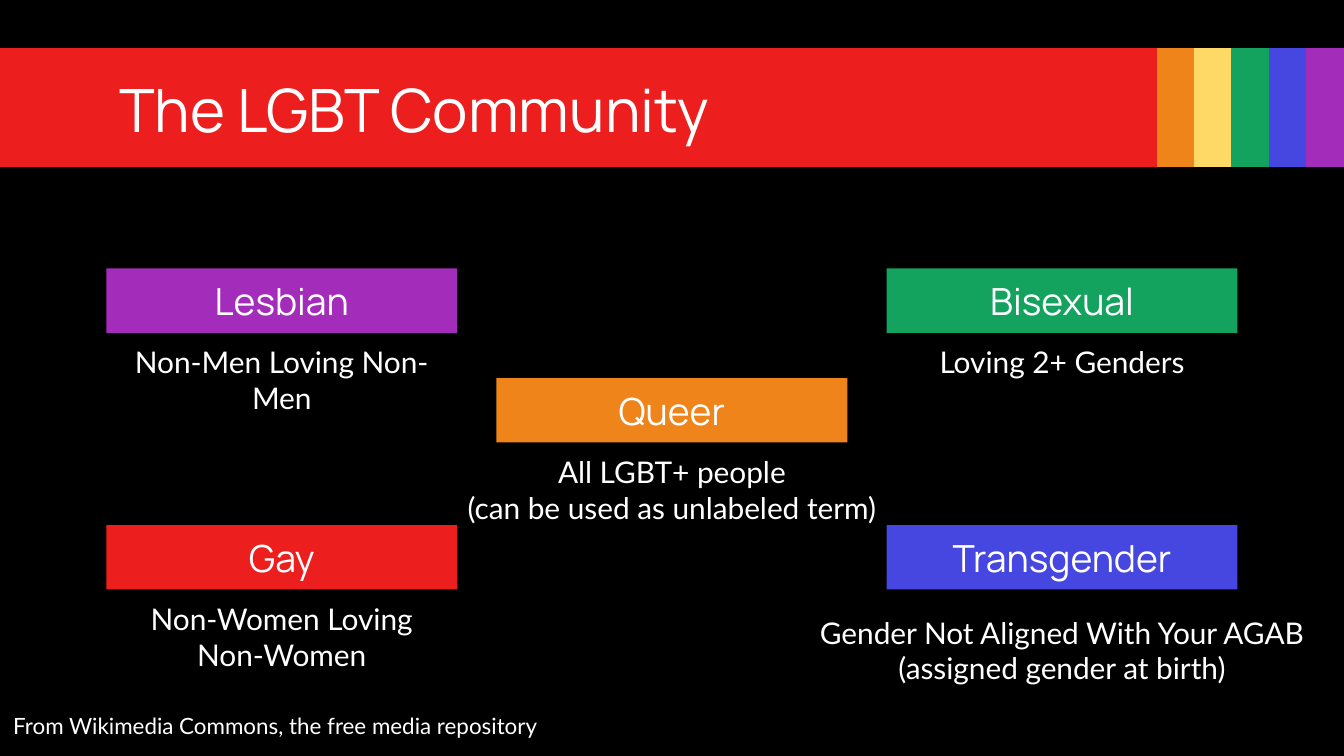
from pptx import Presentation
from pptx import util as u
from pptx.dml.color import RGBColor
from pptx.enum import shapes, text

Pt = u.Pt
BLACK = RGBColor(0x00, 0x00, 0x00)
WHITE = RGBColor(0xFF, 0xFF, 0xFF)
RED = RGBColor(0xEC, 0x1E, 0x1E)
ORANGE = RGBColor(0xEE, 0x84, 0x1A)
YELLOW = RGBColor(0xFF, 0xD9, 0x66)
GREEN = RGBColor(0x13, 0xA3, 0x5F)
BLUE = RGBColor(0x46, 0x46, 0xE0)
PURPLE = RGBColor(0xA3, 0x2C, 0xBB)

LEFT, CENTER = text.PP_ALIGN.LEFT, text.PP_ALIGN.CENTER
TOP, MIDDLE = text.MSO_ANCHOR.TOP, text.MSO_ANCHOR.MIDDLE
FRAME_FORMAT = {
    "word_wrap": True,
    "margin_left": Pt(7.2),
    "margin_right": Pt(7.2),
    "margin_top": Pt(7.2),
    "margin_bottom": Pt(7.2),
}

presentation = Presentation()
presentation.slide_width, presentation.slide_height = Pt(720), Pt(405)
slide = presentation.slides.add_slide(presentation.slide_layouts[6])
slide.background.fill.solid()
slide.background.fill.fore_color.rgb = BLACK


def add_rectangle(left, top, width, height, color):
    shape = slide.shapes.add_shape(
        shapes.MSO_SHAPE.RECTANGLE, Pt(left), Pt(top), Pt(width), Pt(height))
    shape.shadow.inherit = False
    shape.fill.solid()
    shape.fill.fore_color.rgb = color
    shape.line.fill.background()
    return shape


def write_text(shape, lines, font_name, size, alignment, anchor):
    frame = shape.text_frame
    for name, value in FRAME_FORMAT.items():
        setattr(frame, name, value)
    frame.vertical_anchor = anchor
    frame.text = "\n".join(lines)
    for paragraph in frame.paragraphs:
        paragraph.alignment = alignment
        for name, value in {"name": font_name, "size": Pt(size)}.items():
            setattr(paragraph.font, name, value)
        paragraph.font.color.rgb = WHITE


stripes = [(0, 620, RED)]
for index, color in enumerate([ORANGE, YELLOW, GREEN, BLUE, PURPLE]):
    stripes.append((620 + 20 * index, 20, color))
for left, width, color in stripes:
    stripe = add_rectangle(left, 25.9, width, 63.4, color)
    stripe.line.color.rgb = color
    stripe.line.width = Pt(0.75)

title = slide.shapes.add_textbox(Pt(56.9), Pt(35.3), Pt(607), Pt(45.4))
write_text(title, ["The LGBT Community"], "Manrope", 32, LEFT, MIDDLE)

CARD_WIDTH, CARD_HEIGHT = 188, 34.5
COLUMN_CENTERS = [151, 360, 569]
ROW_TOPS = [143.8, 202.6, 281.3]
cards = [
    (0, 0, "Lesbian", PURPLE, ["Non-Men Loving Non-Men"], 188, 33.2),
    (0, 2, "Gay", RED, ["Non-Women Loving Non-Women"], 188, 33.2),
    (1, 1, "Queer", ORANGE,
     ["All LGBT+ people", "(can be used as unlabeled term)"], 256, 33.2),
    (2, 0, "Bisexual", GREEN, ["Loving 2+ Genders"], 188, 33.2),
    (2, 2, "Transgender", BLUE,
     ["Gender Not Aligned With Your AGAB", "(assigned gender at birth)"], 279.4, 40.6),
]
for column, row, term, color, definition, width, offset in cards:
    center, top = COLUMN_CENTERS[column], ROW_TOPS[row]
    body = slide.shapes.add_textbox(
        Pt(center - width / 2), Pt(top + offset), Pt(width), Pt(45.4))
    write_text(body, definition, "Lato", 16, CENTER, TOP)
    label = add_rectangle(center - CARD_WIDTH / 2, top, CARD_WIDTH, CARD_HEIGHT, color)
    write_text(label, [term], "Manrope", 20, CENTER, MIDDLE)

credit = slide.shapes.add_textbox(Pt(0), Pt(374.4), Pt(400), Pt(28.8))
write_text(credit, ["From Wikimedia Commons, the free media repository"],
           "Lato", 12, LEFT, TOP)

presentation.save("out.pptx")
